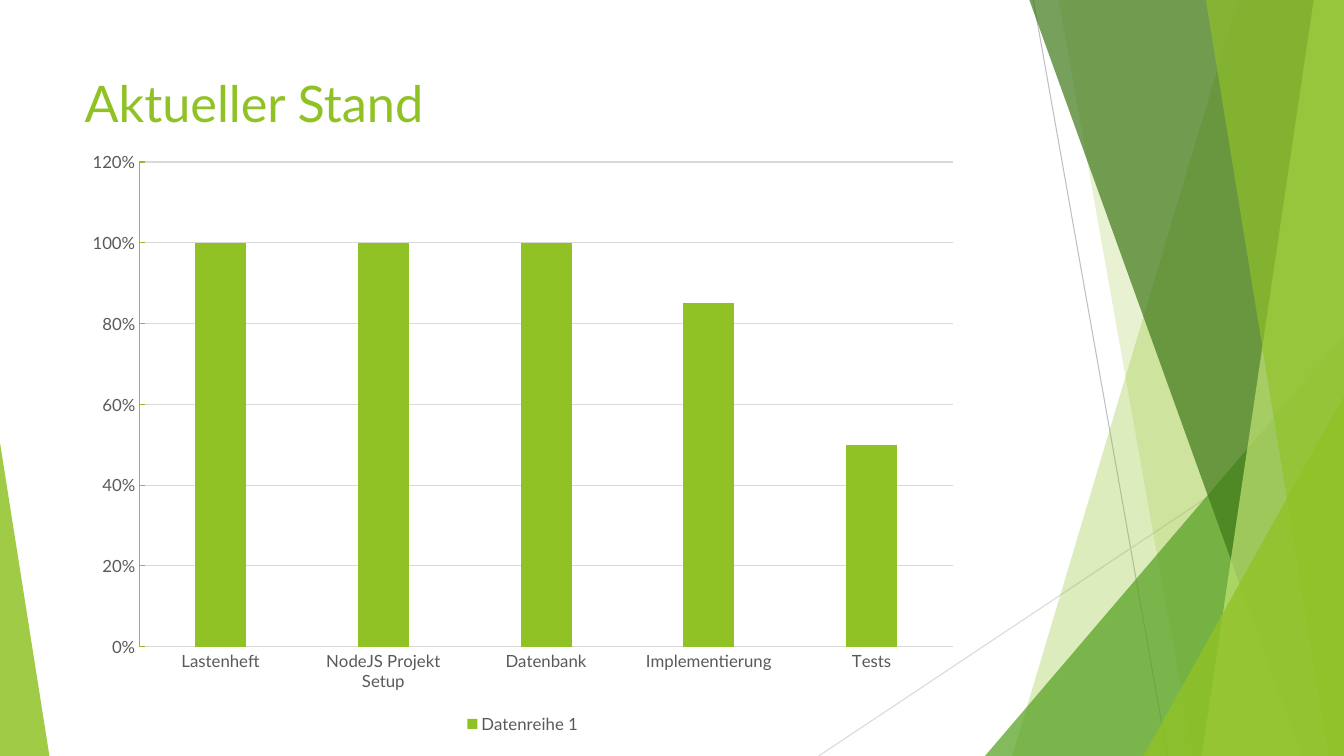
"""Build the project status slide with a column chart on a faceted green background."""
from dataclasses import dataclass
from functools import singledispatch
from typing import Any

from lxml.etree import SubElement
from pptx import Presentation
from pptx.chart.data import CategoryChartData
from pptx.dml.color import RGBColor as Rgb
from pptx.enum.chart import XL_CHART_TYPE as ChartType
from pptx.enum.chart import XL_LEGEND_POSITION as LegendSpot
from pptx.enum.chart import XL_TICK_MARK as Tick
from pptx.enum.shapes import MSO_CONNECTOR as Connector
from pptx.enum.shapes import MSO_SHAPE as Preset
from pptx.enum.text import MSO_ANCHOR as Anchor
from pptx.enum.text import MSO_AUTO_SIZE as AutoSize
from pptx.enum.text import PP_ALIGN as Align
from pptx.oxml.ns import qn
from pptx.util import Inches, Pt

COLORS = {
    "lime": "90C226",
    "leaf": "54A021",
    "forest": "3F7819",
    "pale": "C0E474",
    "text": "595959",
    "grid": "D9D9D9",
    "ray": "BFBFBF",
}
FONT = "Lato"
WIDTH, HEIGHT = Inches(13.33), Inches(7.5)
PROGRESS = {
    "Lastenheft": 1,
    "NodeJS Projekt Setup": 1,
    "Datenbank": 1,
    "Implementierung": 0.85,
    "Tests": 0.5,
}


@dataclass(frozen=True)
class Ray:
    """Thin line between two points, in percent of the slide."""
    x1: float
    y1: float
    x2: float
    y2: float
    color: str


@dataclass(frozen=True)
class Band:
    """Full-height facet from a slanted left side to the right edge."""
    top: float
    bottom: float
    color: str
    opacity: int


@dataclass(frozen=True)
class Wedge:
    """Right triangle on the bottom edge, peaking at its left or right end."""
    left: float
    top: float
    width: float
    peak: int
    color: str
    opacity: int


BACKDROP = (
    Ray(76.89, 0, 86.87, 100, "ray"),
    Ray(100, 53.73, 60.92, 100, "grid"),
    Band(92.12, 75.32, "lime", 30),
    Band(78.77, 88.75, "lime", 20),
    Wedge(73.29, 44.4, 26.71, 1, "leaf", 72),
    Band(76.59, 96.85, "forest", 70),
    Band(97.75, 89.42, "pale", 70),
    Band(89.72, 98.87, "lime", 65),
    Wedge(85.07, 52.4, 14.93, 1, "lime", 80),
    Wedge(0, 58.53, 3.68, 0, "lime", 85),
)


def across(percent: float) -> int:
    """Turn a share of the slide width into a length."""
    return round(WIDTH * percent / 100)


def down(percent: float) -> int:
    """Turn a share of the slide height into a length."""
    return round(HEIGHT * percent / 100)


def rgb(name: str) -> Rgb:
    """Look up a named colour."""
    return Rgb.from_string(COLORS[name])


def assign(target: Any, formats: dict[str, Any]) -> None:
    """Set each format value on the target."""
    for name, value in formats.items():
        setattr(target, name, value)


def style_font(font: Any, size: int, color: str) -> None:
    """Apply the slide's typeface with a size and colour."""
    assign(font, {"name": FONT, "size": Pt(size), "bold": False})
    font.color.rgb = rgb(color)


def style_line(line: Any, color: str) -> None:
    """Apply a hairline in the given colour."""
    line.width = Pt(0.75)
    line.color.rgb = rgb(color)


def tint(facet: Any, color: str, opacity: int) -> None:
    """Fill a facet with a translucent colour, without outline or shadow."""
    facet.shadow.inherit = False
    facet.line.fill.background()
    facet.fill.solid()
    facet.fill.fore_color.rgb = rgb(color)
    shade = next(facet.element.spPr.iter(qn("a:srgbClr")))
    SubElement(shade, qn("a:alpha")).set("val", str(opacity * 1000))


@singledispatch
def draw(part: Any, shapes: Any) -> None:
    """Draw one part of the backdrop."""
    raise TypeError(part)


@draw.register
def draw_ray(part: Ray, shapes: Any) -> None:
    """Draw a thin line."""
    ray = shapes.add_connector(
        Connector.STRAIGHT, across(part.x1), down(part.y1), across(part.x2), down(part.y2)
    )
    style_line(ray.line, part.color)
    SubElement(ray.element.spPr, qn("a:effectLst"))


@draw.register
def draw_band(part: Band, shapes: Any) -> None:
    """Draw a full-height facet."""
    outline = shapes.build_freeform(across(part.top), 0)
    outline.add_line_segments([(WIDTH, 0), (WIDTH, HEIGHT), (across(part.bottom), HEIGHT)])
    tint(outline.convert_to_shape(), part.color, part.opacity)


@draw.register
def draw_wedge(part: Wedge, shapes: Any) -> None:
    """Draw a right triangle."""
    wedge = shapes.add_shape(
        Preset.ISOSCELES_TRIANGLE,
        across(part.left), down(part.top), across(part.width), down(100 - part.top),
    )
    wedge.adjustments[0] = part.peak
    tint(wedge, part.color, part.opacity)


def place_title(shapes: Any) -> None:
    """Position and format the title in front of the backdrop."""
    heading = shapes.title
    assign(heading, {"left": across(5.55), "top": down(8.93),
                     "width": across(70.52), "height": down(19.2)})
    heading.text = "Aktueller Stand"
    assign(heading.text_frame, {"vertical_anchor": Anchor.TOP, "word_wrap": True,
                                "auto_size": AutoSize.NONE})
    line = heading.text_frame.paragraphs[0]
    line.alignment = Align.LEFT
    style_font(line.runs[0].font, 36, "lime")
    shapes.element.append(heading.element)


def add_progress(shapes: Any) -> None:
    """Add the column chart of progress per work package."""
    data = CategoryChartData(number_format="0%")
    data.categories = list(PROGRESS)
    data.add_series("Datenreihe 1", list(PROGRESS.values()))
    chart = shapes.add_chart(
        ChartType.COLUMN_CLUSTERED,
        across(5.55), down(18.53), across(66.69), down(79.07), data,
    ).chart
    assign(chart, {"has_title": False, "has_legend": True})
    style_font(chart.font, 12, "text")
    assign(chart.legend, {"position": LegendSpot.BOTTOM, "include_in_layout": False})
    style_font(chart.legend.font, 12, "text")

    packages, share = chart.category_axis, chart.value_axis
    for axis, tick, color in ((packages, Tick.NONE, "grid"), (share, Tick.INSIDE, "lime")):
        assign(axis, {"major_tick_mark": tick, "minor_tick_mark": Tick.NONE})
        style_font(axis.tick_labels.font, 12, "text")
        style_line(axis.format.line, color)
    assign(share, {"minimum_scale": 0, "maximum_scale": 1.2, "major_unit": 0.2,
                   "has_major_gridlines": True})
    assign(share.tick_labels, {"number_format": "0%", "number_format_is_linked": False})
    style_line(share.major_gridlines.format.line, "grid")

    plot = chart.plots[0]
    assign(plot, {"gap_width": 219, "overlap": -27, "vary_by_categories": False})
    columns = plot.series[0].format.fill
    columns.solid()
    columns.fore_color.rgb = rgb("lime")


deck = Presentation()
assign(deck, {"slide_width": WIDTH, "slide_height": HEIGHT})
status = deck.slides.add_slide(deck.slide_layouts[5])
for facet_part in BACKDROP:
    draw(facet_part, status.shapes)
place_title(status.shapes)
add_progress(status.shapes)
deck.save("out.pptx")
